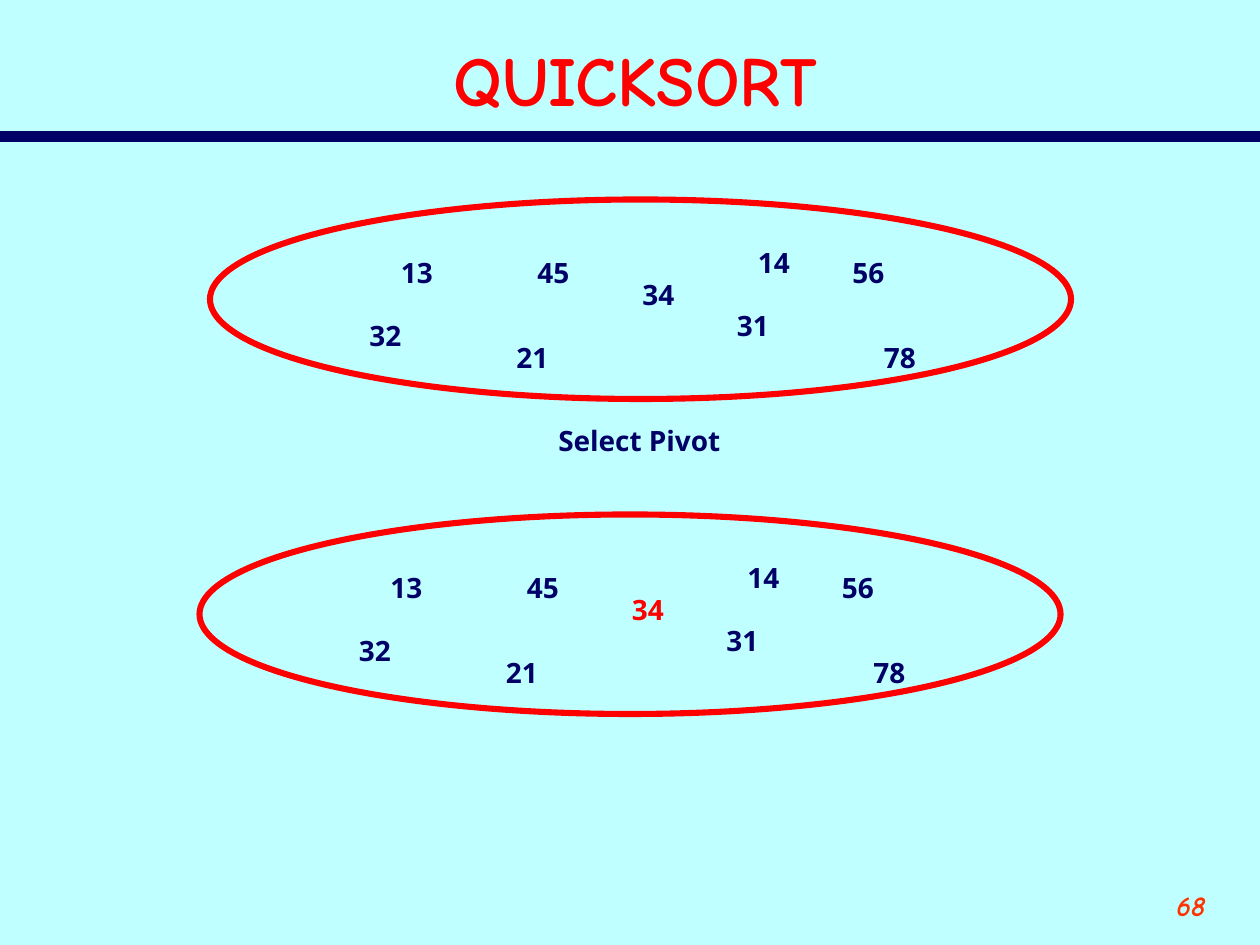
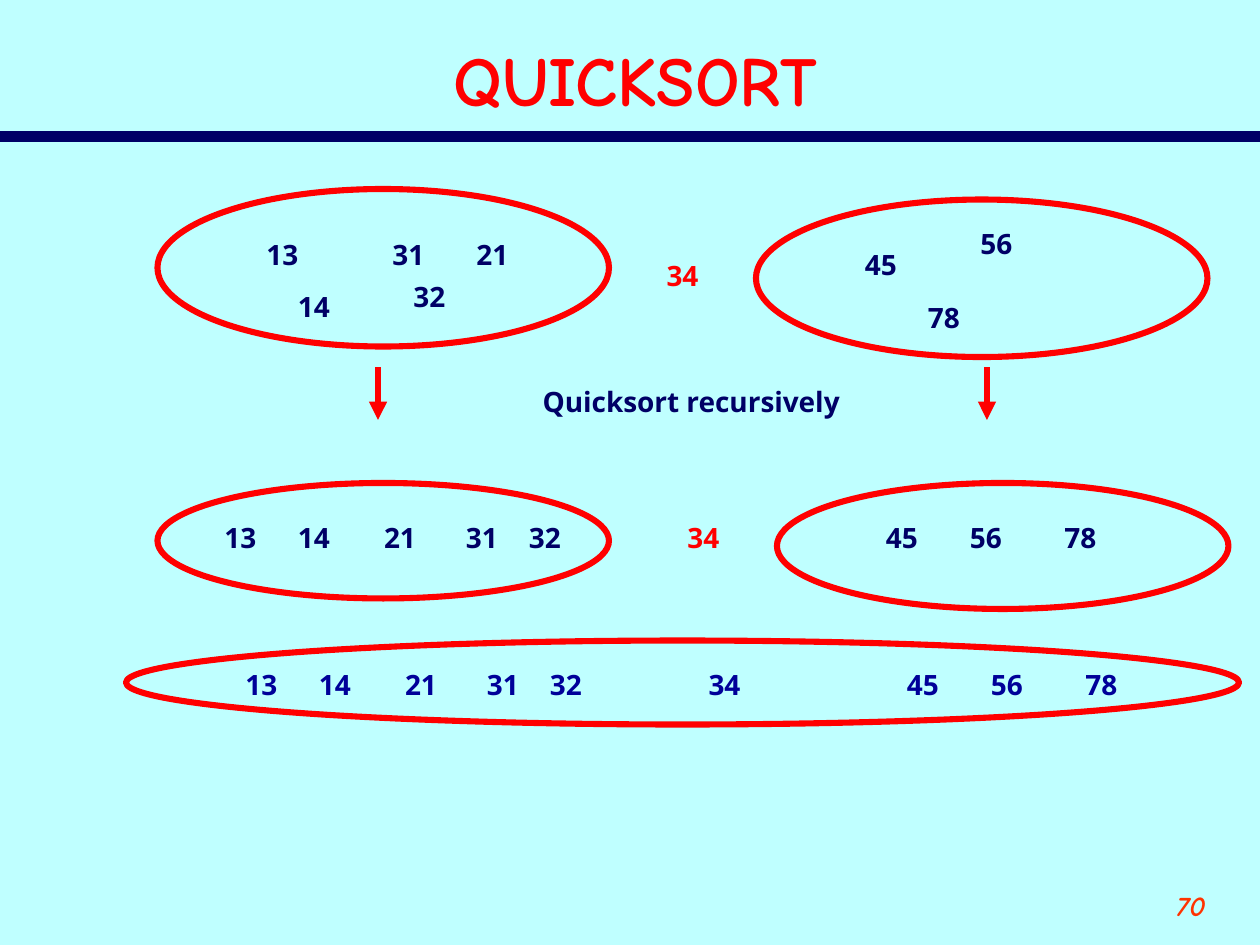
from pptx import Presentation
from pptx.dml.color import RGBColor
from pptx.enum.shapes import MSO_CONNECTOR, MSO_SHAPE
from pptx.enum.text import MSO_ANCHOR, MSO_AUTO_SIZE, PP_ALIGN
from pptx.oxml.ns import qn
from pptx.util import Inches, Pt
from lxml import etree

OVAL = MSO_SHAPE.OVAL
STRAIGHT = MSO_CONNECTOR.STRAIGHT
MIDDLE = MSO_ANCHOR.MIDDLE
FIT_SHAPE = MSO_AUTO_SIZE.SHAPE_TO_FIT_TEXT
LEFT, CENTER, RIGHT = PP_ALIGN.LEFT, PP_ALIGN.CENTER, PP_ALIGN.RIGHT

SKY = RGBColor(0xBF, 0xFF, 0xFF)
NAVY = RGBColor(0x00, 0x00, 0x66)
BLUE = RGBColor(0x00, 0x00, 0x99)
RED = RGBColor(0xFF, 0x00, 0x00)
ORANGE = RGBColor(0xFF, 0x33, 0x00)

COLUMNS, ROWS = 120, 90
TITLE_ONLY = 5
LABEL_ROWS = 4.44
NUMBER_COLUMNS = 5.52


class SlideBuilder:
    title_font = "Comic Neue"
    label_font = "Noto Sans"
    label_size = Pt(16)
    line_width = Pt(3.5)

    def __init__(self, deck):
        self.deck = deck
        self.cell_width = deck.slide_width / COLUMNS
        self.cell_height = deck.slide_height / ROWS
        deck.slide_master.background.fill.solid()
        deck.slide_master.background.fill.fore_color.rgb = SKY

    def area(self, column, row, columns, rows):
        return (round(column * self.cell_width), round(row * self.cell_height),
                round(columns * self.cell_width), round(rows * self.cell_height))

    def style(self, paragraph, font_name, size, color, align=LEFT, italic=False):
        paragraph.alignment = align
        font = paragraph.font
        font.name, font.size, font.bold, font.italic = font_name, size, True, italic
        font.color.rgb = color

    def start_slide(self, title, number):
        self.page = self.deck.slides.add_slide(self.deck.slide_layouts[TITLE_ONLY])
        self.line((0, 13), (COLUMNS, 13), NAVY, Pt(6))
        heading = self.page.shapes.title
        heading.left, heading.top, heading.width, heading.height = self.area(5, 3, 111, 9)
        heading.text_frame.text = title
        heading.text_frame.vertical_anchor = MIDDLE
        self.style(heading.text_frame.paragraphs[0], self.title_font, Pt(40), RED, CENTER)
        footer = self.page.shapes.add_textbox(*self.area(104, 84, 12, 6))
        footer.text_frame.word_wrap = True
        footer.text_frame.text = number
        self.style(footer.text_frame.paragraphs[0], self.title_font, Pt(16),
                   ORANGE, RIGHT, italic=True)

    def line(self, start, end, color, width, arrow=False):
        connector = self.page.shapes.add_connector(
            STRAIGHT, *self.area(*start, *end))
        connector.line.color.rgb = color
        connector.line.width = width
        if arrow:
            etree.SubElement(connector.line._get_or_add_ln(), qn("a:tailEnd"),
                             type="triangle")
        etree.SubElement(connector._element.spPr, qn("a:effectLst"))

    def arrow(self, column, top, bottom):
        self.line((column, top), (column, bottom), RED, self.line_width, arrow=True)

    def ellipse(self, column, row, columns, rows):
        oval = self.page.shapes.add_shape(OVAL, *self.area(column, row, columns, rows))
        oval.shadow.inherit = False
        oval.fill.background()
        oval.line.color.rgb = RED
        oval.line.width = self.line_width

    def label(self, text, column, row, columns=NUMBER_COLUMNS, color=NAVY):
        box = self.page.shapes.add_textbox(*self.area(column, row, columns, LABEL_ROWS))
        box.text_frame.word_wrap = False
        box.text_frame.auto_size = FIT_SHAPE
        box.text_frame.text = text
        self.style(box.text_frame.paragraphs[0], self.label_font, self.label_size, color)

    def number_set(self, column, row, columns, rows, numbers, pivot=None):
        self.ellipse(column, row, columns, rows)
        for number, (across, down) in numbers.items():
            color = RED if number == pivot else NAVY
            self.label(str(number), column + across, row + down, color=color)

    def number_row(self, row, places, shift=0, color=NAVY, pivot=None):
        for number, column in places.items():
            self.label(str(number), column + shift, row,
                       color=RED if number == pivot else color)


UNSORTED = {13: (17, 4.75), 21: (28, 12.8), 34: (40, 6.8), 56: (60, 4.75), 32: (14, 10.75),
            31: (49, 9.8), 45: (30, 4.75), 78: (63, 12.8), 14: (51, 3.8)}
SMALLER = {13: (9.2, 4), 14: (12.2, 9), 21: (29.2, 4), 32: (23.2, 8), 31: (21.2, 4)}
LARGER = {45: (9.2, 4), 56: (20.2, 2), 78: (15.2, 9)}
SORTED_COLUMNS = {13: 20.2, 14: 27.2, 21: 35.4, 31: 43.2, 32: 49.2, 34: 64.3,
                  45: 83.2, 56: 91.2, 78: 100.2}
PIVOT = 34


def build_select_pivot(builder):
    builder.start_slide("QUICKSORT", "68")
    builder.number_set(20, 19, 82, 19, UNSORTED)
    builder.label("Select Pivot", 52, 39.75, 17.8)
    builder.number_set(19, 49, 82, 19, UNSORTED, PIVOT)


def build_recursion(builder):
    builder.start_slide("QUICKSORT", "70")
    builder.number_set(15, 18, 43, 15, SMALLER)
    builder.number_set(72, 19, 43, 15, LARGER)
    builder.label(str(PIVOT), 62.3, 24, color=RED)
    for column in (36, 94):
        builder.arrow(column, 35, 40)
    builder.label("Quicksort recursively", 50.5, 36, 30.7)
    builder.ellipse(15, 46, 43, 11)
    builder.ellipse(74, 46, 43, 12)
    builder.number_row(49, SORTED_COLUMNS, pivot=PIVOT)
    builder.number_row(63, SORTED_COLUMNS, shift=2, color=BLUE)
    builder.ellipse(12, 61, 106, 8)


def main():
    deck = Presentation()
    deck.slide_width, deck.slide_height = Inches(10), Inches(7.5)
    builder = SlideBuilder(deck)
    build_select_pivot(builder)
    build_recursion(builder)
    deck.save("out.pptx")


if __name__ == "__main__":
    main()
